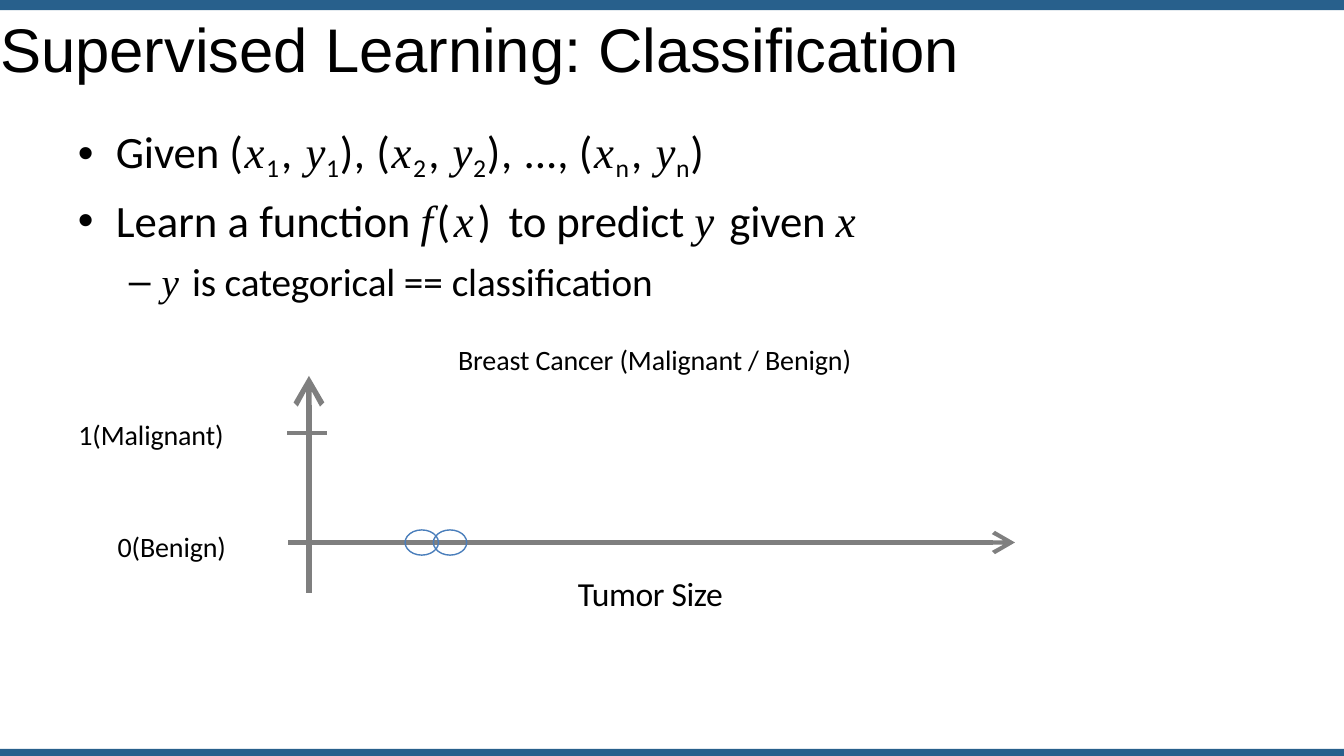
from lxml.etree import SubElement
from pptx import Presentation
from pptx.dml.color import RGBColor
from pptx.enum.shapes import MSO_CONNECTOR, MSO_SHAPE
from pptx.enum.text import MSO_ANCHOR, MSO_AUTO_SIZE, PP_ALIGN
from pptx.oxml.ns import qn
from pptx.util import Pt


def color(hex_code):
    return RGBColor.from_string(hex_code)


def add_span(para, text, size, font="Calibri", spacing=0, italic=False, baseline=0):
    """Add one run; spacing is in points, baseline in percent."""
    span = para.add_run()
    span.text = text
    span.font.size = Pt(size)
    span.font.name = font
    span.font.italic = italic
    span.font.color.rgb = color("000000")
    properties = span.font._element
    properties.set("spc", str(round(spacing * 100)))
    if baseline:
        properties.set("baseline", str(baseline * 1000))


deck = Presentation()
deck.slide_width, deck.slide_height = Pt(960), Pt(540)
page = deck.slides.add_slide(deck.slide_layouts[5])

# Bands along the top and bottom edges
for top, height in [(0, 7.2), (535, 5)]:
    band = page.shapes.add_shape(MSO_SHAPE.RECTANGLE, 0, Pt(top), Pt(960), Pt(height))
    band.shadow.inherit = False
    band.fill.solid()
    band.fill.fore_color.rgb = color("28608C")
    band.line.fill.background()

# Title
title = page.shapes.title
title.left, title.top, title.width, title.height = Pt(0), Pt(8), Pt(823), Pt(54)
frame = title.text_frame
frame.margin_left = frame.margin_top = frame.margin_right = frame.margin_bottom = 0
frame.vertical_anchor = MSO_ANCHOR.TOP
frame.auto_size = MSO_AUTO_SIZE.NONE
para = frame.paragraphs[0]
para.alignment = PP_ALIGN.LEFT
add_span(para, "Supervised ", 44, "Arial")
add_span(para, "Learning: Classification", 44, "Arial", -0.1)

# Bullets: each span is (text, style, letter spacing)
styles = {
    "text": {"font": "Calibri"},
    "math": {"font": "Times New Roman", "italic": True},
    "sub": {"font": "Calibri", "baseline": -19},
}
pairs = [("Given ", "text", -0.1)]
for index, ending in [("1", "), "), ("2", "), "), ("n", ")")]:
    if index == "n":
        pairs.append(("..., ", "text", 0))
    pairs += [
        ("(", "text", 1.1), ("x", "math", 1.1), (index, "sub", 1.6), (", ", "text", 1.1),
        ("y", "math", 0.4), (index, "sub", 0.6), (ending, "text", 0.4),
    ]
goal = [
    ("Learn a ", "text", 0), ("function ", "text", -0.1), ("f", "math", 2.6),
    ("(", "text", 2.6), ("x", "math", 2.6), (") ", "text", 2.6),
    ("to predict ", "text", -0.1), ("y ", "math", 1.4), ("given ", "text", -0.1),
    ("x", "math", 4),
]
detail = [
    ("y ", "math", 1.2), ("is categorical ", "text", -0.1), ("== ", "text", 0),
    ("classification", "text", -0.1),
]
bullets = [
    ("•", 32, 31.7, -27, 0, pairs),
    ("•", 32, 31.7, -27, 7.6, goal),
    ("–", 28, 64.4, -23.4, 7.6, detail),
]
body = page.shapes.add_textbox(Pt(51), Pt(88.5), Pt(757), Pt(135))
frame = body.text_frame
frame.word_wrap = True
frame.margin_left = frame.margin_top = frame.margin_right = frame.margin_bottom = 0
for number, (mark, size, margin, indent, before, spans) in enumerate(bullets):
    para = frame.add_paragraph() if number else frame.paragraphs[0]
    properties = para._p.get_or_add_pPr()
    properties.set("marL", str(Pt(margin)))
    properties.set("indent", str(Pt(indent)))
    SubElement(properties, qn("a:buFont")).set("typeface", "Arial")
    SubElement(properties, qn("a:buChar")).set("char", mark)
    para.space_before = Pt(before)
    for text, style, spacing in spans:
        span_size = 31.5 if style == "sub" else size
        add_span(para, text, span_size, spacing=spacing, **styles[style])

# Chart labels
labels = [
    ("Breast Cancer (Malignant / Benign)", 20, 267.5, 244.5, 400, PP_ALIGN.CENTER, -0.1),
    ("1(Malignant)", 20, 56, 298, 140, PP_ALIGN.LEFT, -0.1),
    ("0(Benign)", 20, 84, 378.5, 112, PP_ALIGN.LEFT, -0.1),
    ("Tumor Size", 24, 364.5, 409, 200, PP_ALIGN.CENTER, -0.25),
]
for text, size, left, top, width, alignment, spacing in labels:
    label = page.shapes.add_textbox(Pt(left), Pt(top), Pt(width), Pt(size * 1.25))
    frame = label.text_frame
    frame.word_wrap = True
    frame.margin_left = frame.margin_top = frame.margin_right = frame.margin_bottom = 0
    frame.paragraphs[0].alignment = alignment
    add_span(frame.paragraphs[0], text, size, spacing=spacing)

# Axes and the tick at 1
lines = [
    (220.7, 423.5, 220.7, 268.5, 4, True),
    (206, 387.5, 725, 387.5, 3, True),
    (205.2, 309.5, 233.3, 309.5, 3, False),
]
for start_x, start_y, end_x, end_y, weight, has_arrow in lines:
    axis = page.shapes.add_connector(
        MSO_CONNECTOR.STRAIGHT, Pt(start_x), Pt(start_y), Pt(end_x), Pt(end_y))
    axis.line.color.rgb = color("7F7F7F")
    axis.line.width = Pt(weight)
    if has_arrow:
        head = SubElement(axis.line._get_or_add_ln(), qn("a:tailEnd"))
        for key, value in [("type", "arrow"), ("w", "lg"), ("len", "lg")]:
            head.set(key, value)
    SubElement(axis._element.spPr, qn("a:effectLst"))

# Benign samples
for left in (309.6, 289.4):
    sample = page.shapes.add_shape(MSO_SHAPE.OVAL, Pt(left), Pt(378.5), Pt(23.8), Pt(18))
    sample.shadow.inherit = False
    sample.fill.background()
    sample.line.color.rgb = color("4A7EBB")
    sample.line.width = Pt(1)

deck.save("out.pptx")
